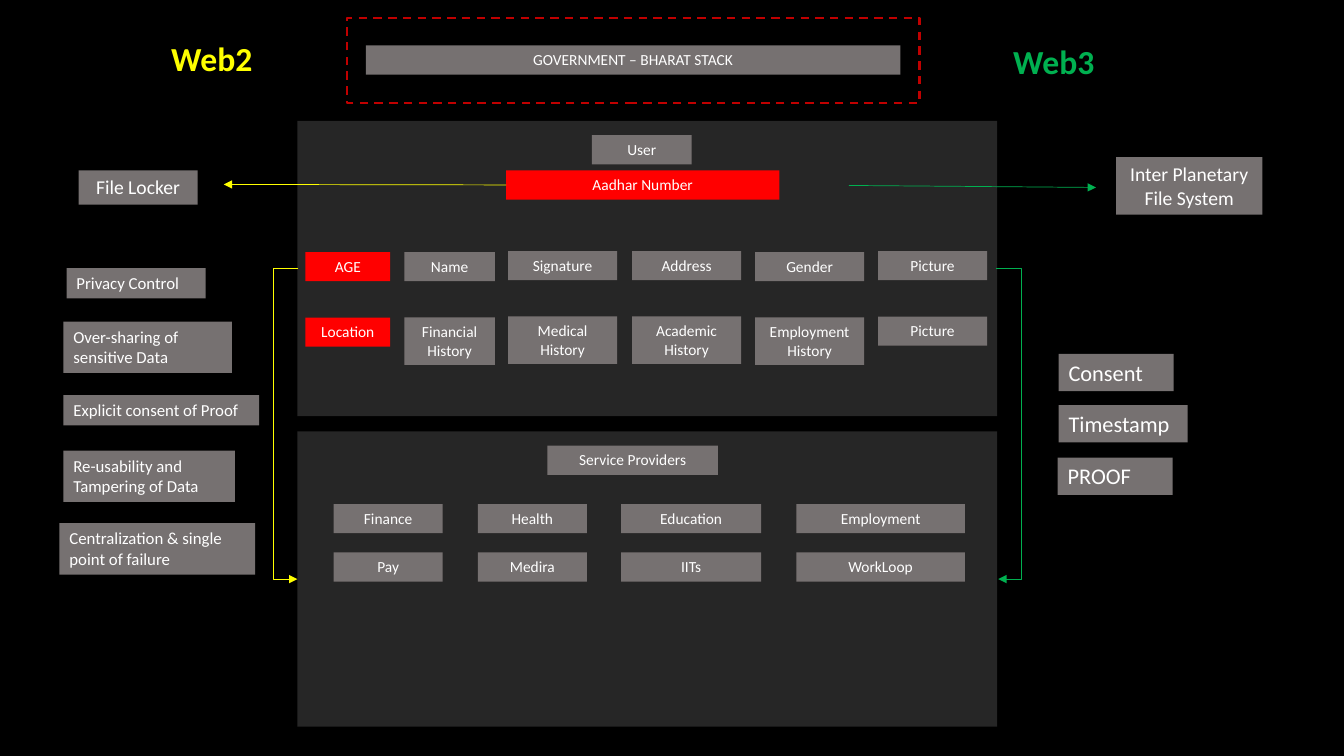
from dataclasses import dataclass

from lxml.etree import SubElement
from pptx import Presentation
from pptx.dml.color import RGBColor
from pptx.enum.dml import MSO_LINE
from pptx.enum.shapes import MSO_CONNECTOR, MSO_SHAPE
from pptx.enum.text import MSO_ANCHOR, MSO_AUTO_SIZE, PP_ALIGN
from pptx.oxml.ns import qn
from pptx.shapes.autoshape import Shape
from pptx.shapes.connector import Connector
from pptx.slide import Slide
from pptx.util import Inches, Pt


@dataclass(frozen=True)
class Theme:
    font: str = "Calibri"
    back: str = "000000"
    panel: str = "262626"
    grey: str = "767171"
    red: str = "FF0000"
    dash: str = "C00000"
    white: str = "FFFFFF"
    web2: str = "FFFF00"
    web3: str = "00B050"
    small: int = 11
    note: int = 12
    store: int = 14
    proof: int = 16
    title: int = 24


THEME = Theme()


@dataclass(frozen=True)
class Chip:
    """A filled label; its height follows from type size and line count."""
    text: str
    left: float
    top: float
    width: float
    lines: int = 1
    size: int = THEME.small
    fill: str = THEME.grey
    align: PP_ALIGN = PP_ALIGN.CENTER

    @property
    def height(self) -> float:
        return round(0.1 + self.lines * self.size * 1.22 / 72, 2)


@dataclass(frozen=True)
class Column:
    left: float
    width: float
    labels: tuple[str, str]
    lines: int = 1
    fill: str = THEME.grey
    shift: float = 0


@dataclass(frozen=True)
class Title:
    text: str
    left: float
    top: float
    color: str


@dataclass(frozen=True)
class Elbow:
    start: float
    bend: float
    end: float
    color: str


PANEL_LEFT, PANEL_WIDTH, PANEL_HEIGHT = 2.95, 6.94, 2.93
USER_TOP, SERVICE_TOP = 1.2, 4.28

HEADS = [
    Chip("GOVERNMENT – BHARAT STACK", 3.63, 0.45, 5.3),
    Chip("User", 5.87, 1.34, 0.99),
    Chip("Service Providers", 5.43, 4.42, 1.69),
]
IDENTITY = Chip("Aadhar Number", 5.02, 1.69, 2.71, fill=THEME.red)

SERVICE_ROWS = (5.0, 5.48)
SERVICES = [
    Column(3.31, 1.08, ("Finance", "Pay")),
    Column(4.74, 1.08, ("Health", "Medira")),
    Column(6.16, 1.39, ("Education", "IITs")),
    Column(7.9, 1.67, ("Employment", "WorkLoop")),
]

FIELD_ROWS = (2.49, 3.14)
FIELDS = [
    Column(3.03, 0.84, ("AGE", "Location"), fill=THEME.red, shift=0.01),
    Column(4.01, 0.9, ("Name", "Financial History"), 2, shift=0.01),
    Column(5.04, 1.08, ("Signature", "Medical History"), 2),
    Column(6.27, 1.08, ("Address", "Academic\nHistory"), 2),
    Column(7.49, 1.08, ("Gender", "Employment\nHistory"), 2, shift=0.01),
    Column(8.71, 1.08, ("Picture", "Picture")),
]

STORES = [
    Chip("File Locker", 0.78, 1.69, 1.18, size=THEME.store),
    Chip("Inter Planetary File System", 11.07, 1.56, 1.45, 2, THEME.store),
]


def note(text: str, left: float, top: float, width: float,
         lines: int = 1, size: int = THEME.note) -> Chip:
    return Chip(text, left, top, width, lines, size, align=PP_ALIGN.LEFT)


NOTES = [
    note("Privacy Control", 0.66, 2.66, 1.38),
    note("Over-sharing of sensitive Data", 0.63, 3.19, 1.67, 2),
    note("Explicit consent of Proof", 0.63, 3.92, 1.94),
    note("Re-usability and Tampering of Data", 0.63, 4.47, 1.7, 2),
    note("Centralization & single point of failure", 0.59, 5.19, 1.94, 2),
    note("Consent", 10.5, 3.51, 1.14, size=THEME.proof),
    note("Timestamp", 10.5, 4.02, 1.28, size=THEME.proof),
    note("PROOF", 10.49, 4.54, 1.14, size=THEME.proof),
]

TITLES = [
    Title("Web2", 1.6, 0.33, THEME.web2),
    Title("Web3", 9.95, 0.36, THEME.web3),
]
ELBOWS = [
    Elbow(2.96, 2.71, 2.95, THEME.web2),
    Elbow(9.88, 10.13, 9.9, THEME.web3),
]


def paint(color: str) -> RGBColor:
    return RGBColor.from_string(color)


def add_box(slide: Slide, left: float, top: float, width: float,
            height: float, fill: str | None = None) -> Shape:
    box = slide.shapes.add_shape(MSO_SHAPE.RECTANGLE, Inches(left),
                                 Inches(top), Inches(width), Inches(height))
    box.shadow.inherit = False
    box.line.fill.background()
    if fill:
        box.fill.solid()
        box.fill.fore_color.rgb = paint(fill)
    else:
        box.fill.background()
    return box


def write(shape: Shape, text: str, size: int, color: str,
          align: PP_ALIGN, bold: bool = False) -> None:
    """Fill the shape with one paragraph for each line of text."""
    frame = shape.text_frame
    frame.word_wrap = True
    frame.auto_size = MSO_AUTO_SIZE.SHAPE_TO_FIT_TEXT
    frame.vertical_anchor = MSO_ANCHOR.TOP
    for index, line in enumerate(text.split("\n")):
        para = frame.add_paragraph() if index else frame.paragraphs[0]
        para.alignment = align
        run = para.add_run()
        run.text = line
        run.font.name = THEME.font
        run.font.size = Pt(size)
        run.font.bold = bold
        run.font.color.rgb = paint(color)


def add_chip(slide: Slide, chip: Chip) -> Shape:
    box = add_box(slide, chip.left, chip.top, chip.width, chip.height, chip.fill)
    write(box, chip.text, chip.size, THEME.white, chip.align)
    return box


def add_grid(slide: Slide, columns: list[Column], rows: tuple[float, float]) -> None:
    for row, top in enumerate(rows):
        for col in columns:
            add_chip(slide, Chip(col.labels[row], col.left, top + col.shift, col.width,
                                 col.lines if row else 1, fill=col.fill))


def add_title(slide: Slide, title: Title) -> None:
    box = slide.shapes.add_textbox(Inches(title.left), Inches(title.top),
                                   Inches(1.1), Inches(0.5))
    write(box, title.text, THEME.title, title.color, PP_ALIGN.LEFT, True)


def add_arrow(slide: Slide, kind: MSO_CONNECTOR, start: tuple[float, float],
              end: tuple[float, float], color: str) -> Connector:
    arrow = slide.shapes.add_connector(kind, *map(Inches, start + end))
    arrow.line.color.rgb = paint(color)
    arrow.line.width = Pt(0.5)
    SubElement(arrow.line._get_or_add_ln(), qn("a:tailEnd"), type="triangle")
    SubElement(arrow._element.spPr, qn("a:effectLst"))
    return arrow


def add_elbow(slide: Slide, elbow: Elbow) -> None:
    """Link the side middles of the two panels, bending outside them."""
    half = PANEL_HEIGHT / 2
    arrow = add_arrow(slide, MSO_CONNECTOR.ELBOW, (elbow.start, USER_TOP + half),
                      (elbow.end, SERVICE_TOP + half), elbow.color)
    ratio = (elbow.bend - elbow.start) / (elbow.end - elbow.start)
    guides = arrow._element.spPr.find(qn("a:prstGeom")).get_or_add_avLst()
    SubElement(guides, qn("a:gd"), name="adj1", fmla=f"val {round(ratio * 100000)}")


def main() -> None:
    deck = Presentation()
    deck.slide_width, deck.slide_height = Inches(13.33), Inches(7.5)
    slide = deck.slides.add_slide(deck.slide_layouts[6])
    slide.background.fill.solid()
    slide.background.fill.fore_color.rgb = paint(THEME.back)

    for top in (SERVICE_TOP, USER_TOP):
        add_box(slide, PANEL_LEFT, top, PANEL_WIDTH, PANEL_HEIGHT, THEME.panel)
    frame = add_box(slide, 3.44, 0.18, 5.68, 0.84)
    frame.line.color.rgb = paint(THEME.dash)
    frame.line.width = Pt(1.5)
    frame.line.dash_style = MSO_LINE.DASH

    for chip in HEADS + STORES + NOTES:
        add_chip(slide, chip)
    identity = add_chip(slide, IDENTITY)
    add_grid(slide, SERVICES, SERVICE_ROWS)
    add_grid(slide, FIELDS, FIELD_ROWS)
    for title in TITLES:
        add_title(slide, title)

    for elbow in ELBOWS:
        add_elbow(slide, elbow)
    locker = add_arrow(slide, MSO_CONNECTOR.STRAIGHT, (5.02, 1.83), (2.22, 1.83), THEME.web2)
    locker.begin_connect(identity, 1)
    add_arrow(slide, MSO_CONNECTOR.STRAIGHT, (8.42, 1.84), (10.87, 1.86), THEME.web3)
    deck.save("out.pptx")


if __name__ == "__main__":
    main()
